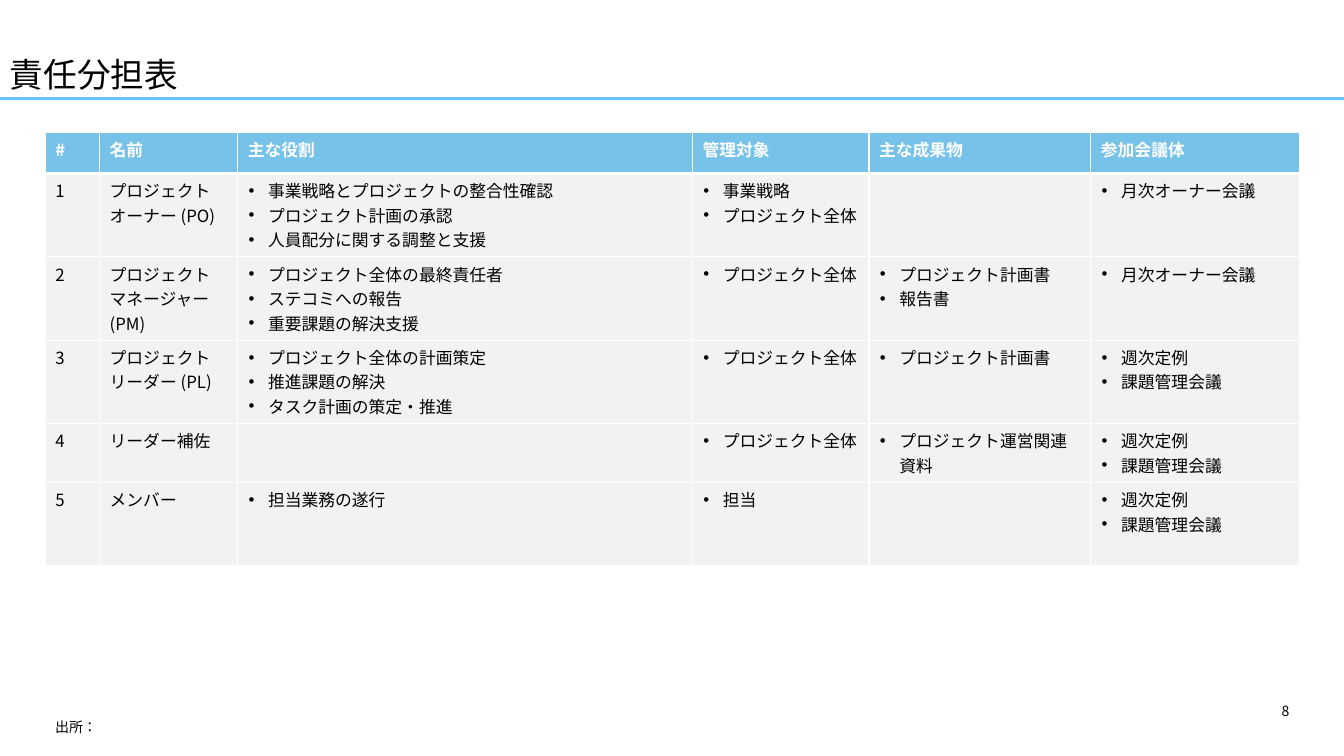
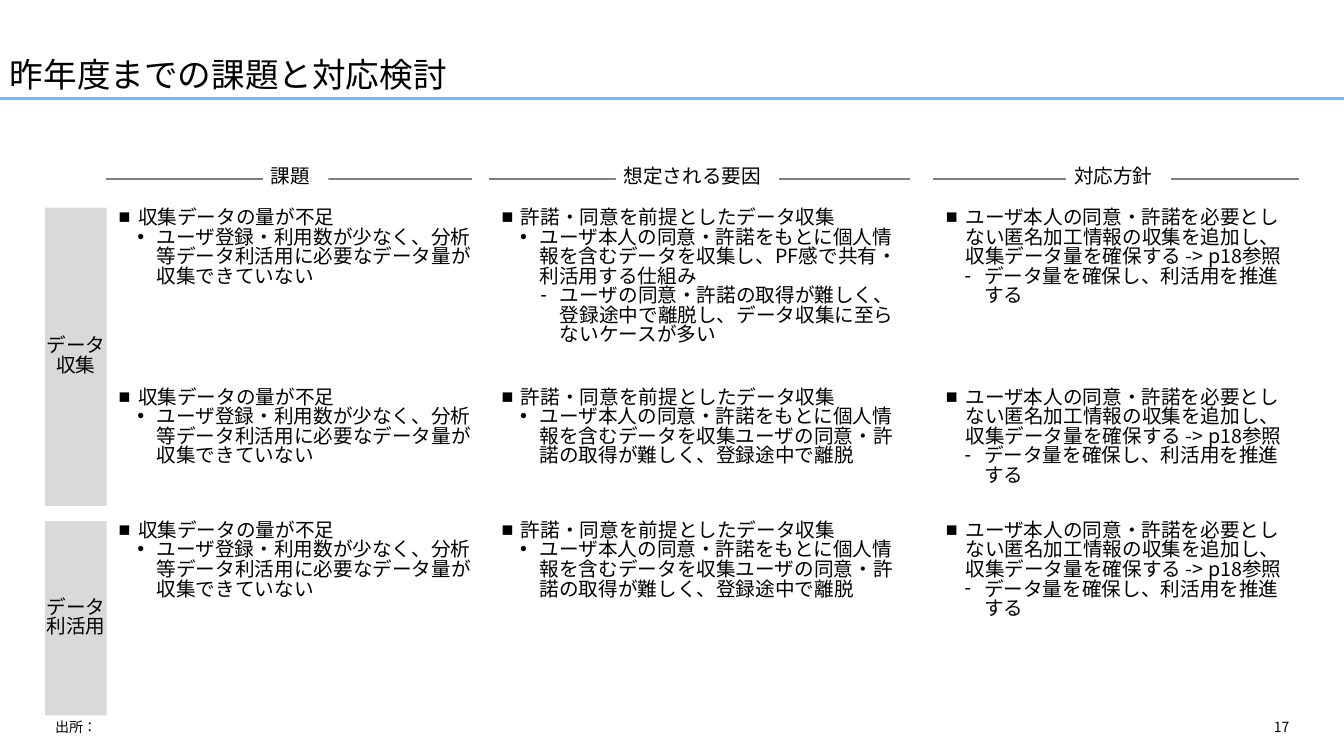
import pptx
import pptx.util
import pptx.dml.color
import pptx.enum.lang
import pptx.enum.shapes
import pptx.enum.text
import pptx.oxml.ns
from lxml import etree

Cm, Pt = pptx.util.Cm, pptx.util.Pt
Align = pptx.enum.text.PP_ALIGN
Anchor = pptx.enum.text.MSO_ANCHOR
Kind = pptx.enum.shapes
qn = pptx.oxml.ns.qn

COLORS = {"ink": "000000", "white": "FFFFFF", "rule": "63C1FF", "head": "77C2E8",
          "cell": "F2F2F2", "band": "D9D9D9", "line": "808080"}
FONT = "Noto Sans CJK JP"
TIGHT = 0.83           # line spacing outside tables
HANG = 0.49            # hanging indent of bullets, cm
DEPTH = [0.51, 0.98, 1.49]
INSETS = ("margin_left", "margin_top", "margin_right", "margin_bottom")


def tint(name):
    return pptx.dml.color.RGBColor.from_string(COLORS[name])


def put(item, values):
    for key, value in values.items():
        setattr(item, key, value)


def dot(mark, depth, *texts):
    """Bulleted paragraphs with the same mark and depth."""
    return [(mark, depth, text) for text in texts]


class Deck:
    def __init__(self):
        self.prs = pptx.Presentation()
        put(self.prs, {"slide_width": Cm(33.87), "slide_height": Cm(19.05)})
        self.slide = None

    def start(self, title, page, top):
        """New slide with title, rule, source note and page number."""
        self.slide = self.prs.slides.add_slide(self.prs.slide_layouts[6])
        self.line(0, 2.49, 33.87, "rule", 2.25)
        self.box((0, 0, 33.87, 2.51), [title], size=24, space=0.9, anchor=Anchor.BOTTOM)
        self.box((1.14, 18.06, 21.5, 0.61), ["出所："], size=10)
        self.box((23.93, top, 8.81, 0.61), [page], size=10, align=Align.RIGHT)

    def line(self, left, top, right, color, width):
        line = self.slide.shapes.add_connector(
            Kind.MSO_CONNECTOR.STRAIGHT, Cm(left), Cm(top), Cm(right), Cm(top))
        line.line.color.rgb = tint(color)
        line.line.width = Pt(width)
        etree.SubElement(line._element.spPr, qn("a:effectLst"))

    def fill_text(self, frame, items, size=14, color="ink", bold=False,
                  align=Align.LEFT, space=TIGHT):
        """Fill a text frame with plain strings or (mark, depth, text) items."""
        for i, item in enumerate(items):
            para = frame.add_paragraph() if i else frame.paragraphs[0]
            put(para, {"alignment": align, "line_spacing": space})
            text = item
            if isinstance(item, tuple):
                mark, depth, text = item
                props = para._p.get_or_add_pPr()
                props.set("marL", str(Cm(DEPTH[depth])))
                props.set("indent", str(-Cm(HANG)))
                etree.SubElement(props, qn("a:buFont"), typeface="Arial")
                etree.SubElement(props, qn("a:buChar"), char=mark)
            run = para.add_run()
            run.text = text
            put(run.font, {"name": FONT, "size": Pt(size), "bold": bold,
                           "language_id": pptx.enum.lang.MSO_LANGUAGE_ID.JAPANESE})
            run.font.color.rgb = tint(color)
            etree.SubElement(run._r.get_or_add_rPr(), qn("a:ea"), typeface=FONT)

    def box(self, area, items, insets=None, anchor=Anchor.TOP, fill=None, **style):
        """Text box, or a filled rectangle when a fill is given."""
        area = [Cm(v) for v in area]
        if fill:
            shape = self.slide.shapes.add_shape(Kind.MSO_SHAPE.RECTANGLE, *area)
            shape.shadow.inherit = False
            shape.fill.solid()
            shape.fill.fore_color.rgb = tint(fill)
            shape.line.fill.background()
        else:
            shape = self.slide.shapes.add_textbox(*area)
        frame = shape.text_frame
        put(frame, {"word_wrap": True, "vertical_anchor": anchor})
        if insets:
            put(frame, dict(zip(INSETS, map(Cm, insets))))
        self.fill_text(frame, items, **style)

    def border(self, cell, widths):
        props = cell._tc.get_or_add_tcPr()
        for side, width in zip("LRTB", widths):
            edge = etree.SubElement(props, qn("a:ln" + side), w=str(Pt(width)))
            fill = etree.SubElement(edge, qn("a:solidFill"))
            etree.SubElement(fill, qn("a:srgbClr"), val=COLORS["white"])

    def table(self, left, top, widths, heights, rows):
        grid = self.slide.shapes.add_table(
            len(rows), len(widths), Cm(left), Cm(top),
            Cm(sum(widths)), Cm(sum(heights))).table
        for col, width in zip(grid.columns, widths):
            col.width = Cm(width)
        for r, (height, row) in enumerate(zip(heights, rows)):
            grid.rows[r].height = Cm(height)
            look = {"color": "ink"} if r else {"color": "white", "bold": True}
            for c, items in enumerate(row):
                cell = grid.cell(r, c)
                self.border(cell, (1, 1, 3 if r == 1 else 1, 1 if r else 3))
                cell.fill.solid()
                cell.fill.fore_color.rgb = tint("cell" if r else "head")
                self.fill_text(cell.text_frame, items, size=12, space=1.0, **look)


def duties(deck):
    deck.start("責任分担表", "8", 17.65)

    def dots(*texts):
        return dot("•", 0, *texts)

    whole = dots("プロジェクト全体")
    owner = dots("月次オーナー会議")
    weekly = dots("週次定例", "課題管理会議")
    heads = ["#", "名前", "主な役割", "管理対象", "主な成果物", "参加会議体"]
    rows = [
        [["プロジェクト", "オーナー (PO)"],
         dots("事業戦略とプロジェクトの整合性確認", "プロジェクト計画の承認",
              "人員配分に関する調整と支援"),
         dots("事業戦略") + whole, [], owner],
        [["プロジェクト", "マネージャー (PM)"],
         dots("プロジェクト全体の最終責任者", "ステコミへの報告", "重要課題の解決支援"),
         whole, dots("プロジェクト計画書", "報告書"), owner],
        [["プロジェクト", "リーダー (PL)"],
         dots("プロジェクト全体の計画策定", "推進課題の解決", "タスク計画の策定・推進"),
         whole, dots("プロジェクト計画書"), weekly],
        [["リーダー補佐"], [], whole, dots("プロジェクト運営関連資料"), weekly],
        [["メンバー"], dots("担当業務の遂行"), dots("担当"), [], weekly],
    ]
    deck.table(1.14, 3.33, [1.37, 3.48, 11.46, 4.45, 5.59, 5.26],
               [1.04, 2.1, 2.1, 2.1, 1.48, 2.1],
               [[[head] for head in heads]]
               + [[[str(n)]] + row for n, row in enumerate(rows, 1)])


def issues(deck):
    deck.start("昨年度までの課題と対応検討", "17", 18.06)

    # Row bands
    for name, top, height in (("データ収集", 5.23, 7.52), ("データ利活用", 13.13, 4.9)):
        deck.box((1.14, top, 1.55, height), [name], insets=(0, 0, 0, 0),
                 anchor=Anchor.MIDDLE, fill="band", align=Align.CENTER)

    # Column texts
    issue = (dot("■", 0, "収集データの量が不足")
             + dot("•", 1, "ユーザ登録・利用数が少なく、分析等データ利活用に必要なデータ量が収集できていない"))
    consent = dot("■", 0, "許諾・同意を前提としたデータ収集")
    cause = consent + dot(
        "•", 1, "ユーザ本人の同意・許諾をもとに個人情報を含むデータを収集ユーザの同意・許諾の取得が難しく、登録途中で離脱")
    first = (consent
             + dot("•", 1, "ユーザ本人の同意・許諾をもとに個人情報を含むデータを収集し、PF感で共有・利活用する仕組み")
             + dot("-", 2, "ユーザの同意・許諾の取得が難しく、登録途中で離脱し、データ収集に至らないケースが多い"))
    plan = (dot("■", 0, "ユーザ本人の同意・許諾を必要としない匿名加工情報の収集を追加し、収集データ量を確保する -> p18参照")
            + dot("-", 1, "データ量を確保し、利活用を推進する"))

    # Column: heading, line start and end, label left and width, text width, (text, lines)
    cols = [
        ("課題", 2.67, 11.89, 6.63, 1.65, 8.92, [(issue, 4)] * 3),
        ("想定される要因", 12.32, 22.94, 15.52, 4.11, 10.32, [(first, 7)] + [(cause, 4)] * 2),
        ("対応方針", 23.52, 32.74, 26.87, 2.64, 8.88, [(plan, 5)] * 3),
    ]
    for head, left, right, tag, wide, width, cells in cols:
        deck.line(left, 4.5, right, "line", 1.5)
        deck.box((tag, 4.19, wide, 0.61), [head], insets=(0.2, 0.04, 0, 0), fill="white")
        for top, (items, count) in zip((5.23, 9.75, 13.11), cells):
            deck.box((left + 0.3, top, width, 0.6 * count), items, insets=(0, 0.04, 0, 0))


def main():
    deck = Deck()
    duties(deck)
    issues(deck)
    deck.prs.save("out.pptx")


if __name__ == "__main__":
    main()
